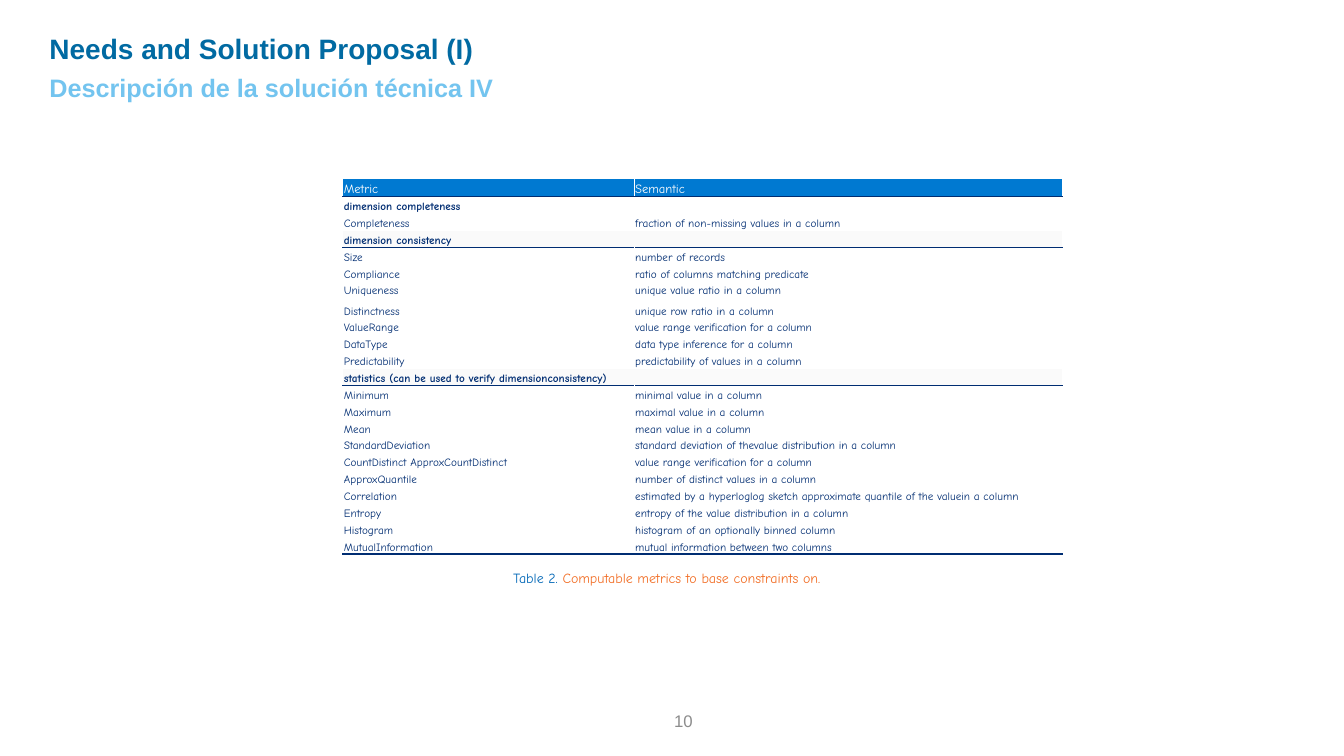
from typing import NamedTuple

from lxml import etree
from pptx import Presentation
from pptx.dml.color import RGBColor
from pptx.enum.text import MSO_ANCHOR, PP_ALIGN
from pptx.oxml.ns import qn
from pptx.util import Inches, Pt

LEFT, RIGHT = PP_ALIGN.LEFT, PP_ALIGN.RIGHT
TOP, MIDDLE, BOTTOM = MSO_ANCHOR.TOP, MSO_ANCHOR.MIDDLE, MSO_ANCHOR.BOTTOM
HEADING_FONT, TABLE_FONT = "Arial", "Comic Neue"
COLORS = {
    "title": "016AA2",
    "subtitle": "73C4EF",
    "page": "8C8C8C",
    "header": "0079D1",
    "navy": "002D72",
    "section": "FAFAFA",
    "white": "FFFFFF",
    "caption": "0067B7",
    "orange": "F26F27",
}


class Piece(NamedTuple):
    text: str
    color: str


class Label(NamedTuple):
    pieces: list[Piece]
    left: float
    top: float
    width: float
    height: float
    size: int
    font: str
    bold: bool = False
    align: PP_ALIGN = LEFT
    anchor: MSO_ANCHOR = TOP
    side_inset: float = 0.1


class RowStyle(NamedTuple):
    fill: str
    color: str = "navy"
    size: int = 8
    bold: bool = False
    line_below: str = "white"


class MetricRow(NamedTuple):
    metric: str
    semantic: str
    style: RowStyle
    height: float = 0.1675


HEADER = RowStyle("header", "white", 9, line_below="navy")
FIRST_SECTION = RowStyle("white", bold=True)
SECTION = RowStyle("section", bold=True, line_below="navy")
BODY = RowStyle("white")
LAST = RowStyle("white", line_below="navy")

LABELS = [
    Label([Piece("10", "page")], 3.34, 6.95, 3.63, 0.4, 12, HEADING_FONT,
          align=RIGHT, anchor=MIDDLE),
    Label([Piece("Needs and Solution Proposal (I)", "title")],
          0.44, 0.26, 8.3, 0.44, 20, HEADING_FONT, True, side_inset=0.05),
    Label([Piece("Descripción de la solución técnica IV", "subtitle")],
          0.44, 0.67, 5.14, 0.4, 18, HEADING_FONT, True, side_inset=0.05),
    Label([Piece("Table 2. ", "caption"),
           Piece("Computable metrics to base constraints on.", "orange")],
          4.99, 5.6, 3.95, 0.27, 10, TABLE_FONT),
]

COLUMN_WIDTHS = [2.89, 4.25]
ROWS = [
    MetricRow("Metric", "Semantic", HEADER, 0.18),
    MetricRow("dimension completeness", "", FIRST_SECTION),
    MetricRow("Completeness", "fraction of non-missing values in a column", BODY),
    MetricRow("dimension consistency", "", SECTION),
    MetricRow("Size", "number of records", BODY),
    MetricRow("Compliance", "ratio of columns matching predicate", BODY),
    MetricRow("Uniqueness", "unique value ratio in a column", BODY),
    MetricRow("Distinctness", "unique row ratio in a column", BODY, 0.2),
    MetricRow("ValueRange", "value range verification for a column", BODY),
    MetricRow("DataType", "data type inference for a column", BODY),
    MetricRow("Predictability", "predictability of values in a column", BODY),
    MetricRow("statistics (can be used to verify dimensionconsistency)", "", SECTION),
    MetricRow("Minimum", "minimal value in a column", BODY),
    MetricRow("Maximum", "maximal value in a column", BODY),
    MetricRow("Mean", "mean value in a column", BODY),
    MetricRow("StandardDeviation",
              "standard deviation of thevalue distribution in a column", BODY),
    MetricRow("CountDistinct ApproxCountDistinct",
              "value range verification for a column", BODY),
    MetricRow("ApproxQuantile", "number of distinct values in a column", BODY),
    MetricRow("Correlation", "estimated by a hyperloglog sketch approximate "
              "quantile of the valuein a column", BODY),
    MetricRow("Entropy", "entropy of the value distribution in a column", BODY),
    MetricRow("Histogram", "histogram of an optionally binned column", BODY),
    MetricRow("MutualInformation", "mutual information between two columns", LAST),
]


def format_font(font, name: str, size: int, color: str, bold: bool) -> None:
    font.name = name
    font.size = Pt(size)
    font.bold = bold
    font.color.rgb = RGBColor.from_string(COLORS[color])


def add_label(slide, label: Label) -> None:
    shape = slide.shapes.add_textbox(Inches(label.left), Inches(label.top),
                                     Inches(label.width), Inches(label.height))
    frame = shape.text_frame
    frame.word_wrap = True
    frame.vertical_anchor = label.anchor
    frame.margin_left = frame.margin_right = Inches(label.side_inset)
    frame.margin_top = frame.margin_bottom = Inches(0.05)
    paragraph = frame.paragraphs[0]
    paragraph.alignment = label.align
    for piece in label.pieces:
        run = paragraph.add_run()
        run.text = piece.text
        format_font(run.font, label.font, label.size, piece.color, label.bold)


def add_border(cell, side: str, color: str) -> None:
    properties = cell._tc.get_or_add_tcPr()
    line = etree.SubElement(properties, qn(f"a:ln{side}"), w=str(Pt(1)))
    fill = etree.SubElement(line, qn("a:solidFill"))
    etree.SubElement(fill, qn("a:srgbClr"), val=COLORS[color])


def format_cell(cell, text: str, style: RowStyle, line_above: str) -> None:
    cell.margin_left = cell.margin_right = cell.margin_top = Inches(0.01)
    cell.margin_bottom = 0
    cell.vertical_anchor = BOTTOM
    borders = {"L": "white", "R": "white", "T": line_above, "B": style.line_below}
    for side, color in borders.items():
        add_border(cell, side, color)
    cell.fill.solid()
    cell.fill.fore_color.rgb = RGBColor.from_string(COLORS[style.fill])
    cell.text_frame.text = text
    format_font(cell.text_frame.paragraphs[0].font, TABLE_FONT,
                style.size, style.color, style.bold)
    for run in cell.text_frame.paragraphs[0].runs:
        format_font(run.font, TABLE_FONT, style.size, style.color, style.bold)


def add_metric_table(slide) -> None:
    height = sum(row.height for row in ROWS)
    frame = slide.shapes.add_table(len(ROWS), len(COLUMN_WIDTHS), Inches(3.4),
                                   Inches(1.77), Inches(sum(COLUMN_WIDTHS)),
                                   Inches(height))
    table = frame.table
    table.horz_banding = False
    for column, width in zip(table.columns, COLUMN_WIDTHS):
        column.width = Inches(width)
    line_above = "white"
    for index, row in enumerate(ROWS):
        table.rows[index].height = Inches(row.height)
        for column, text in enumerate((row.metric, row.semantic)):
            format_cell(table.cell(index, column), text, row.style, line_above)
        if not row.semantic:
            table.cell(index, 0).merge(table.cell(index, 1))
        line_above = row.style.line_below


def main() -> None:
    presentation = Presentation()
    presentation.slide_width = Inches(13.33)
    presentation.slide_height = Inches(7.5)
    slide = presentation.slides.add_slide(presentation.slide_layouts[6])

    # Page number, headings and caption
    for label in LABELS:
        add_label(slide, label)

    # Metrics grouped by dimension
    add_metric_table(slide)
    presentation.save("out.pptx")


if __name__ == "__main__":
    main()
